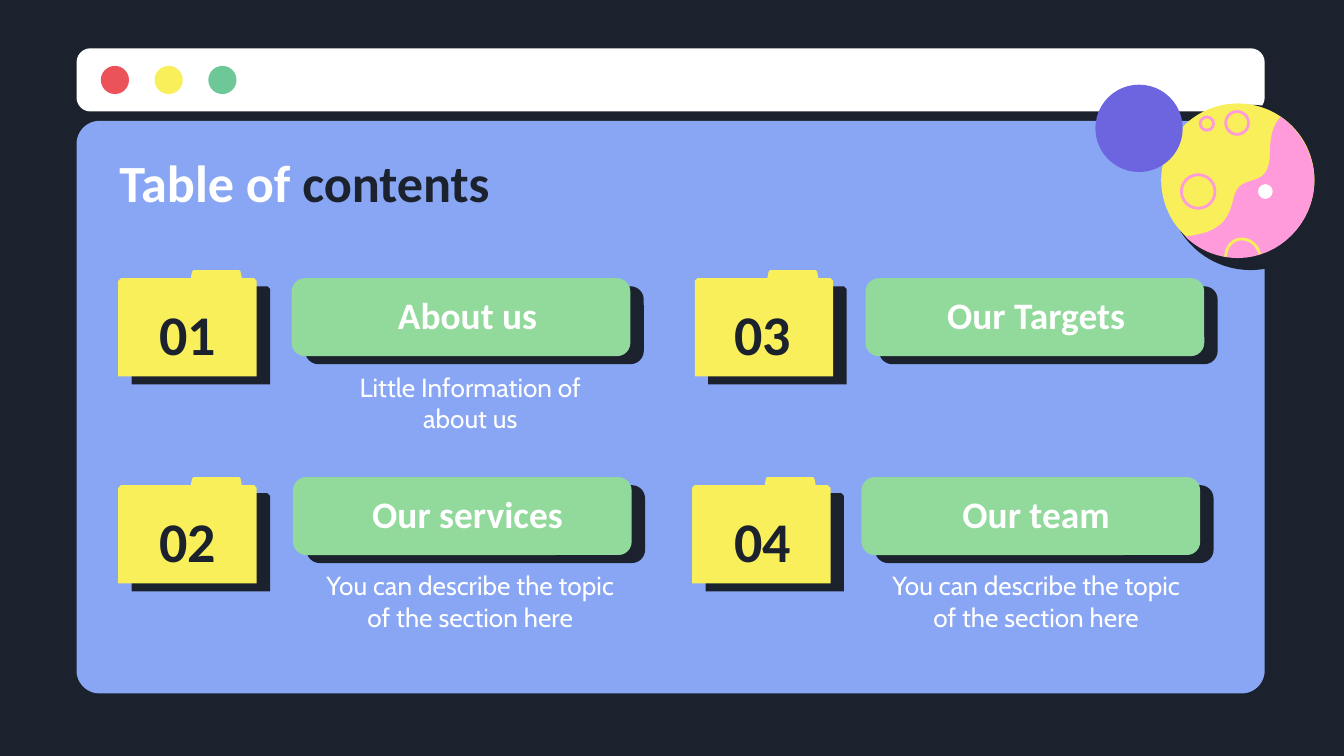
from dataclasses import dataclass

from pptx import Presentation
from pptx import util as u
from pptx.dml.color import RGBColor
from pptx.enum import shapes, text


@dataclass(frozen=True)
class Theme:
    dark: str = "1B222D"
    white: str = "FFFFFF"
    red: str = "EB5358"
    yellow: str = "F8EF5B"
    green: str = "6DC797"
    mint: str = "92D99C"
    blue: str = "88A6F3"
    purple: str = "6D65E0"
    pink: str = "FF9BDA"
    heading_font: str = "Calibri"
    body_font: str = "Cabin"
    title_size: int = 28
    number_size: int = 30
    heading_size: int = 20
    body_size: int = 14
    ring_width: float = 1.5


@dataclass(frozen=True)
class Column:
    number_left: float
    heading_left: float
    detail_left: float


@dataclass(frozen=True)
class Entry:
    number: str
    heading: str
    details: tuple
    column: Column
    folder_left: float
    pill_left: float


THEME = Theme()
SLIDE_WIDTH = 10
SLIDE_HEIGHT = SLIDE_WIDTH * 9 / 16
OVAL = shapes.MSO_SHAPE.OVAL
ROUNDED = shapes.MSO_SHAPE.ROUNDED_RECTANGLE
SHADOW_OFFSET = (0.1, 0.06)
LEFT_COLUMN = Column(0.96, 2.45, 2.28)
RIGHT_COLUMN = Column(5.24, 6.68, 6.49)
TOPIC = ("You can describe the topic of the section here",)
ROWS = [
    (2.01, 2.07, [
        Entry("01", "About us", ("Little Information of", "about us"),
              LEFT_COLUMN, 0.88, 2.17),
        Entry("03", "Our Targets", (), RIGHT_COLUMN, 5.17, 6.44),
    ]),
    (3.55, 3.55, [
        Entry("02", "Our services", TOPIC, LEFT_COLUMN, 0.88, 2.18),
        Entry("04", "Our team", TOPIC, RIGHT_COLUMN, 5.15, 6.41),
    ]),
]
FOLDER_OUTLINE = [
    (0, 0.08), (0.02, 0.06), (0.54, 0.06), (0.55, 0.01), (0.56, 0), (0.9, 0),
    (0.91, 0.01), (0.92, 0.06), (1.01, 0.06), (1.03, 0.08), (1.03, 0.79), (0, 0.79),
]
LAND_START = (0.91, 0.11)
LAND_CURVES = [
    ((1.04, 0.2), (1.16, 0.38), (1.16, 0.58)),
    ((1.16, 0.9), (0.9, 1.16), (0.59, 1.16)),
    ((0.44, 1.16), (0.3, 1.1), (0.2, 1)),
    ((0.44, 0.97), (0.52, 0.9), (0.56, 0.71)),
    ((0.61, 0.5), (0.83, 0.68), (0.83, 0.37)),
    ((0.83, 0.22), (0.87, 0.15), (0.91, 0.11)),
]
CRATER_START = (0.5, 1.15)
CRATER_CURVES = [
    ((0.5, 1.09), (0.54, 1.03), (0.6, 1.02)),
    ((0.67, 1.01), (0.74, 1.06), (0.75, 1.13)),
]


def paint(shape, fill=None, line=None):
    shape.shadow.inherit = False
    if fill:
        shape.fill.solid()
        shape.fill.fore_color.rgb = RGBColor.from_string(fill)
    else:
        shape.fill.background()
    if line:
        shape.line.color.rgb = RGBColor.from_string(line)
        shape.line.width = u.Pt(THEME.ring_width)
    else:
        shape.line.fill.background()


def add_preset(slide, kind, box, fill=None, line=None, radius=None):
    shape = slide.shapes.add_shape(kind, *map(u.Inches, box))
    if radius is not None:
        shape.adjustments[0] = radius
    paint(shape, fill, line)


def add_outline(slide, left, top, points, fill=None, line=None):
    placed = [(u.Inches(left + x), u.Inches(top + y)) for x, y in points]
    builder = slide.shapes.build_freeform(*placed[0])
    builder.add_line_segments(placed[1:], close=fill is not None)
    paint(builder.convert_to_shape(), fill, line)


def trace_curves(start, curves, steps=16):
    points = [start]
    for first, second, end in curves:
        origin = points[-1]
        for step in range(1, steps + 1):
            t = step / steps
            points.append(tuple(
                a * (1 - t) ** 3 + 3 * b * t * (1 - t) ** 2
                + 3 * c * t ** 2 * (1 - t) + d * t ** 3
                for a, b, c, d in zip(origin, first, second, end)))
    return points


def add_text(slide, box, paragraphs, font, size, bold=False,
             align=text.PP_ALIGN.CENTER, anchor=text.MSO_ANCHOR.TOP):
    frame = slide.shapes.add_textbox(*map(u.Inches, box)).text_frame
    frame.word_wrap = True
    frame.vertical_anchor = anchor
    frame.margin_left = frame.margin_right = u.Inches(0.1)
    frame.margin_top = frame.margin_bottom = u.Inches(0.1)
    for index, pieces in enumerate(paragraphs):
        paragraph = frame.add_paragraph() if index else frame.paragraphs[0]
        paragraph.alignment = align
        for wording, color in pieces:
            run = paragraph.add_run()
            run.text = wording
            run.font.name = font
            run.font.size = u.Pt(size)
            run.font.bold = bold
            run.font.color.rgb = RGBColor.from_string(color)


def add_window(slide, left, top, width):
    add_preset(slide, ROUNDED, (left, top, width, 0.47), THEME.white, radius=0.22)
    for index, color in enumerate((THEME.red, THEME.yellow, THEME.green)):
        add_preset(slide, OVAL, (left + 0.18 + index * 0.4, top + 0.13, 0.21, 0.21), color)
    add_preset(slide, ROUNDED, (left, top + 0.54, width, 4.26), THEME.blue, radius=0.04)


def add_planet(slide, left, top):
    add_preset(slide, OVAL, (left + 0.07, top + 0.02, 1.23, 1.23), THEME.dark)
    add_preset(slide, OVAL, (left + 0.02, top + 0.01, 1.14, 1.14), THEME.yellow)
    for x, y, size in ((0.5, 0.07, 0.17), (0.17, 0.54, 0.25), (0.31, 0.11, 0.1)):
        add_preset(slide, OVAL, (left + x, top + y, size, size), line=THEME.pink)
    add_outline(slide, left, top, trace_curves(LAND_START, LAND_CURVES), THEME.pink)
    add_outline(slide, left, top, trace_curves(CRATER_START, CRATER_CURVES), line=THEME.yellow)
    add_preset(slide, OVAL, (left + 0.74, top + 0.61, 0.11, 0.11), THEME.white)
    add_preset(slide, OVAL, (left - 0.47, top - 0.13, 0.65, 0.65), THEME.purple)


def add_entry(slide, entry, folder_top, pill_top):
    column = entry.column
    dx, dy = SHADOW_OFFSET
    for x, y, pill, folder in ((dx, dy, THEME.dark, THEME.dark),
                               (0, 0, THEME.mint, THEME.yellow)):
        add_preset(slide, ROUNDED, (entry.pill_left + x, pill_top + y, 2.52, 0.58),
                   pill, radius=0.17)
        add_outline(slide, entry.folder_left + x, folder_top + y, FOLDER_OUTLINE, folder)
    add_text(slide, (column.number_left, folder_top + 0.14, 0.87, 0.65),
             [[(entry.number, THEME.dark)]], THEME.heading_font, THEME.number_size,
             bold=True, anchor=text.MSO_ANCHOR.MIDDLE)
    add_text(slide, (column.heading_left, pill_top + 0.1, 2.06, 0.44),
             [[(entry.heading, THEME.white)]], THEME.heading_font, THEME.heading_size,
             bold=True, anchor=text.MSO_ANCHOR.BOTTOM)
    if entry.details:
        add_text(slide, (column.detail_left, pill_top + 0.59, 2.44, 0.58),
                 [[(line, THEME.white)] for line in entry.details],
                 THEME.body_font, THEME.body_size)


def main():
    presentation = Presentation()
    presentation.slide_width = u.Inches(SLIDE_WIDTH)
    presentation.slide_height = u.Inches(SLIDE_HEIGHT)
    slide = presentation.slides.add_slide(presentation.slide_layouts[6])
    slide.background.fill.solid()
    slide.background.fill.fore_color.rgb = RGBColor.from_string(THEME.dark)
    add_window(slide, 0.57, 0.36, 8.84)
    add_planet(slide, 8.62, 0.76)
    add_text(slide, (0.79, 1.02, 8.43, 0.62),
             [[("Table of ", THEME.white), ("contents", THEME.dark)]],
             THEME.heading_font, THEME.title_size, bold=True, align=text.PP_ALIGN.LEFT)
    for folder_top, pill_top, entries in ROWS:
        for entry in entries:
            add_entry(slide, entry, folder_top, pill_top)
    presentation.save("out.pptx")


if __name__ == "__main__":
    main()
